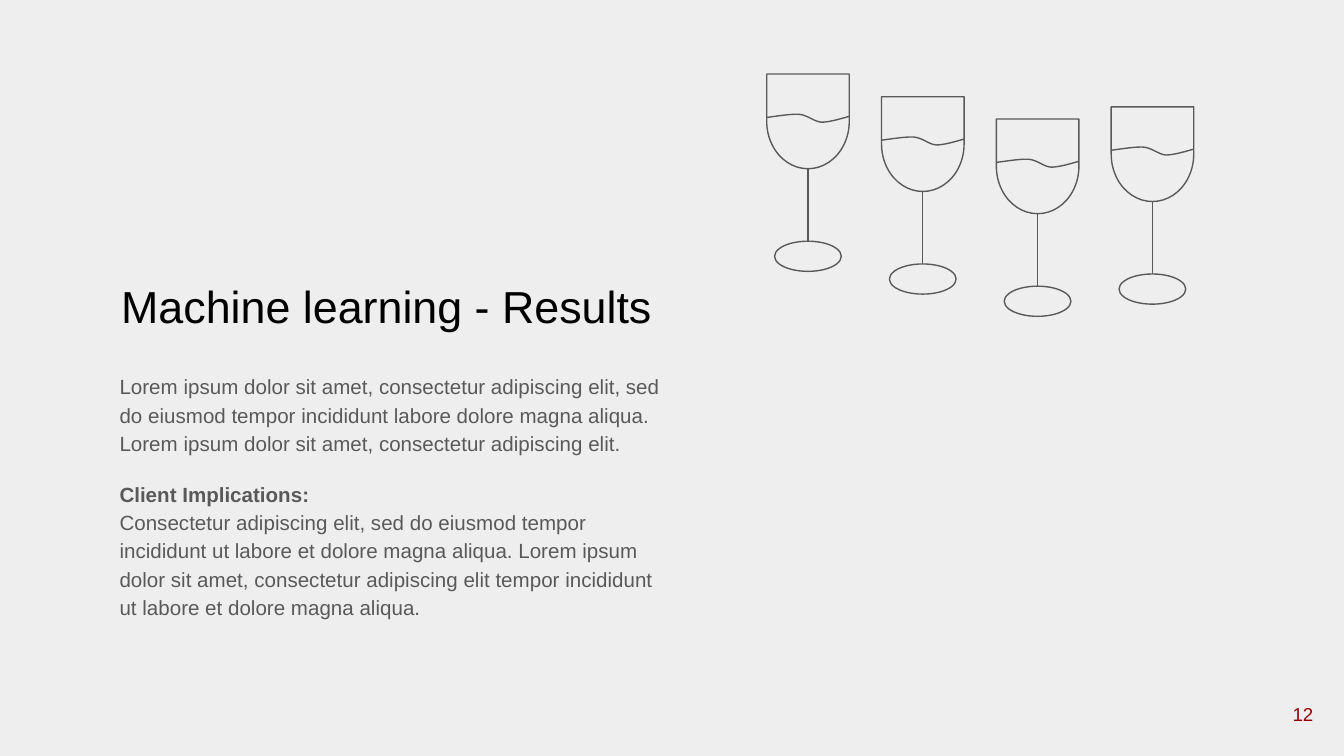
from lxml.etree import SubElement
from pptx import Presentation
from pptx.dml.color import RGBColor
from pptx.enum.shapes import MSO_CONNECTOR, MSO_SHAPE
from pptx.enum.text import MSO_ANCHOR as ANCHOR, PP_ALIGN as ALIGN
from pptx.oxml.ns import qn
from pptx.util import Cm, Pt

GREY = "595959"
BOWL_H, FOOT_Y = 1.79, 3.16
FOOT_W, FOOT_H = 1.26, 0.57
WAVE = [
    [(0, 0.82), (0.1, 0.81), (0.45, 0.75), (0.61, 0.76)],
    [(0.61, 0.76), (0.79, 0.78), (0.89, 0.9), (1.04, 0.91)],
    [(1.04, 0.91), (1.2, 0.91), (1.48, 0.82), (1.56, 0.8)],
]
INTRO = ("Lorem ipsum dolor sit amet, consectetur adipiscing elit, sed do eiusmod tempor "
         "incididunt labore dolore magna aliqua. Lorem ipsum dolor sit amet, consectetur "
         "adipiscing elit.")
IMPLICATIONS = ("Consectetur adipiscing elit, sed do eiusmod tempor incididunt ut labore et "
                "dolore magna aliqua. Lorem ipsum dolor sit amet, consectetur adipiscing elit "
                "tempor incididunt ut labore et dolore magna aliqua.")


def color(value):
    """Turn a hex string into a colour."""
    return RGBColor.from_string(value)


def add_frame(s, box, anchor=ANCHOR.TOP):
    """Add a wrapping text box and return its text frame."""
    tf = s.shapes.add_textbox(*map(Cm, box)).text_frame
    tf.word_wrap = True
    tf.vertical_anchor = anchor
    tf.margin_left = tf.margin_right = tf.margin_top = tf.margin_bottom = Cm(0.25)
    return tf


def write(p, text, size, hex_color, bold=False, align=ALIGN.LEFT):
    """Fill one paragraph with text in a single style."""
    p.text = text
    p.alignment = align
    p.font.name = "Arial"
    p.font.size = Pt(size)
    p.font.bold = bold
    p.font.color.rgb = color(hex_color)


def add_title(s, box):
    """Place the slide title at the bottom of its box."""
    tf = add_frame(s, box, ANCHOR.BOTTOM)
    write(tf.paragraphs[0], "Machine learning - Results", 24, "000000")


def add_body(s, box):
    """Place the body paragraphs."""
    tf = add_frame(s, box)
    rows = [(INTRO, False, 0, 0), ("Client Implications:", True, 12, 0),
            (IMPLICATIONS, False, 0, 12)]
    for i, (text, bold, before, after) in enumerate(rows):
        p = tf.add_paragraph() if i else tf.paragraphs[0]
        write(p, text, 11, GREY, bold)
        p.line_spacing = 1.15
        p.space_before, p.space_after = Pt(before), Pt(after)


def add_page_number(s, box):
    """Place the page number."""
    tf = add_frame(s, box, ANCHOR.MIDDLE)
    write(tf.paragraphs[0], "12", 10, "980000", align=ALIGN.RIGHT)


def outline(sp):
    """Give a shape a thin grey outline without fill or shadow."""
    sp.fill.background()
    sp.line.color.rgb = color(GREY)
    sp.line.width = Pt(0.75)
    sp.shadow.inherit = False


def bezier(curve, t):
    """Return the point at t on a cubic curve."""
    weights = ((1 - t) ** 3, 3 * t * (1 - t) ** 2, 3 * t * t * (1 - t), t ** 3)
    return tuple(sum(w * pt[axis] for w, pt in zip(weights, curve)) for axis in (0, 1))


def add_glass(s, left, top, width):
    """Draw one wine glass as a group."""
    shapes = s.shapes.add_group_shape().shapes
    mid = left + width / 2

    bowl = shapes.add_shape(MSO_SHAPE.FLOWCHART_DELAY, Cm(mid - BOWL_H / 2),
                            Cm(top + (BOWL_H - width) / 2), Cm(BOWL_H), Cm(width))
    bowl.rotation = 90
    outline(bowl)

    foot = shapes.add_shape(MSO_SHAPE.FLOWCHART_CONNECTOR, Cm(mid - FOOT_W / 2),
                            Cm(top + FOOT_Y), Cm(FOOT_W), Cm(FOOT_H))
    outline(foot)

    points = [bezier(curve, i / 10) for curve in WAVE for i in range(1, 11)]
    builder = shapes.build_freeform(Cm(left + WAVE[0][0][0]), Cm(top + WAVE[0][0][1]))
    builder.add_line_segments([(Cm(left + x), Cm(top + y)) for x, y in points], close=False)
    outline(builder.convert_to_shape())

    stem = shapes.add_connector(MSO_CONNECTOR.STRAIGHT, Cm(mid), Cm(top + BOWL_H),
                                Cm(mid), Cm(top + FOOT_Y))
    stem.line.color.rgb = color(GREY)
    stem.line.width = Pt(0.75)
    SubElement(stem._element.spPr, qn("a:effectLst"))


def add_glasses(s, left, top, pitch, drops):
    """Draw a row of glasses, each lowered by its own drop."""
    for i, drop in enumerate(drops):
        add_glass(s, left + i * pitch, top + drop, 1.56)


def main():
    """Build the results slide."""
    prs = Presentation()
    prs.slide_width, prs.slide_height = Cm(25.4), Cm(14.29)
    s = prs.slides.add_slide(prs.slide_layouts[6])
    s.background.fill.solid()
    s.background.fill.fore_color.rgb = color("EEEEEE")
    add_page_number(s, (23.55, 12.95, 1.52, 1.09))
    add_title(s, (2.04, 3.66, 10.82, 2.87))
    add_body(s, (2.01, 6.76, 10.82, 5.82))
    add_glasses(s, 14.49, 1.4, 2.17, (0, 0.43, 0.85, 0.62))
    prs.save("out.pptx")


if __name__ == "__main__":
    main()
